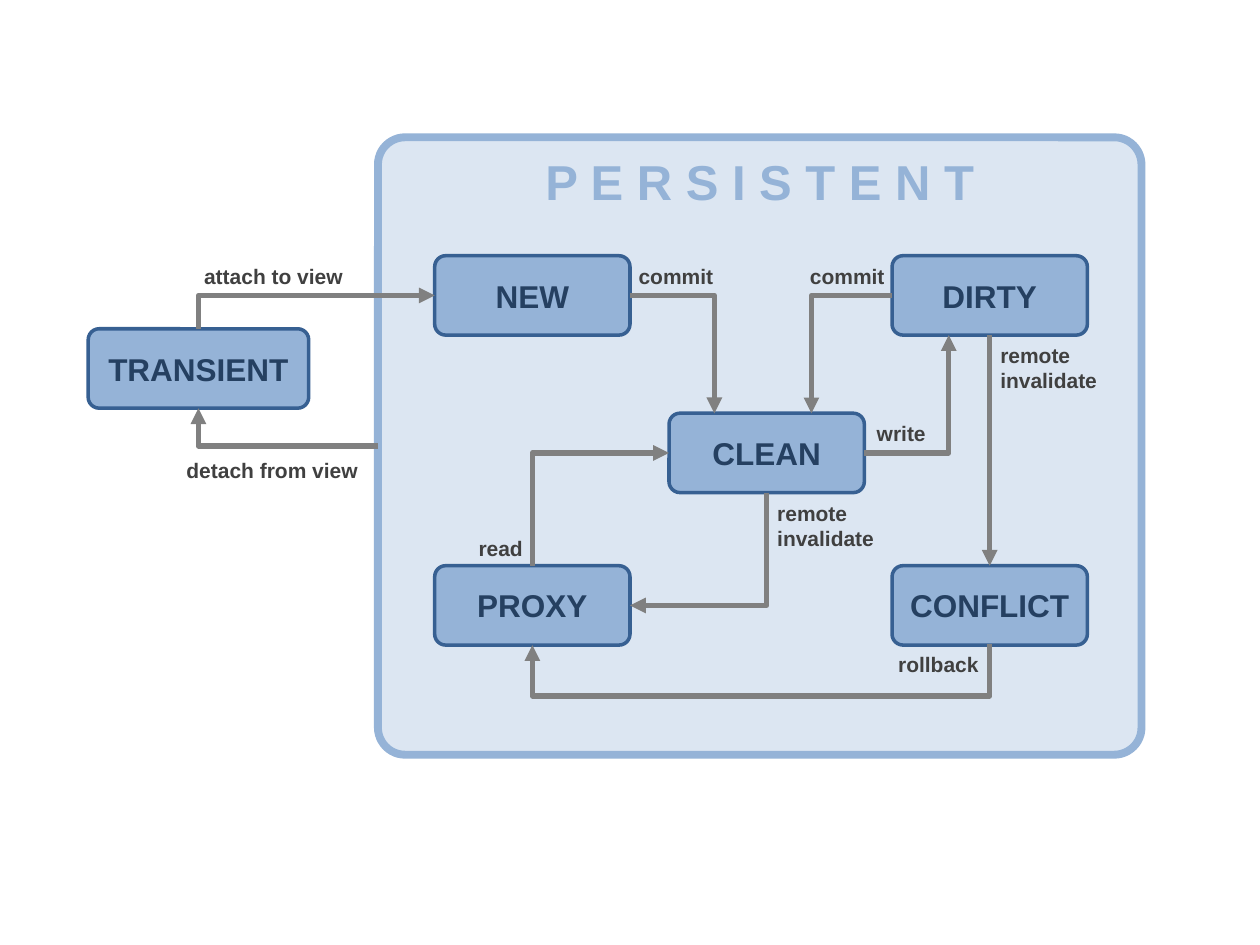
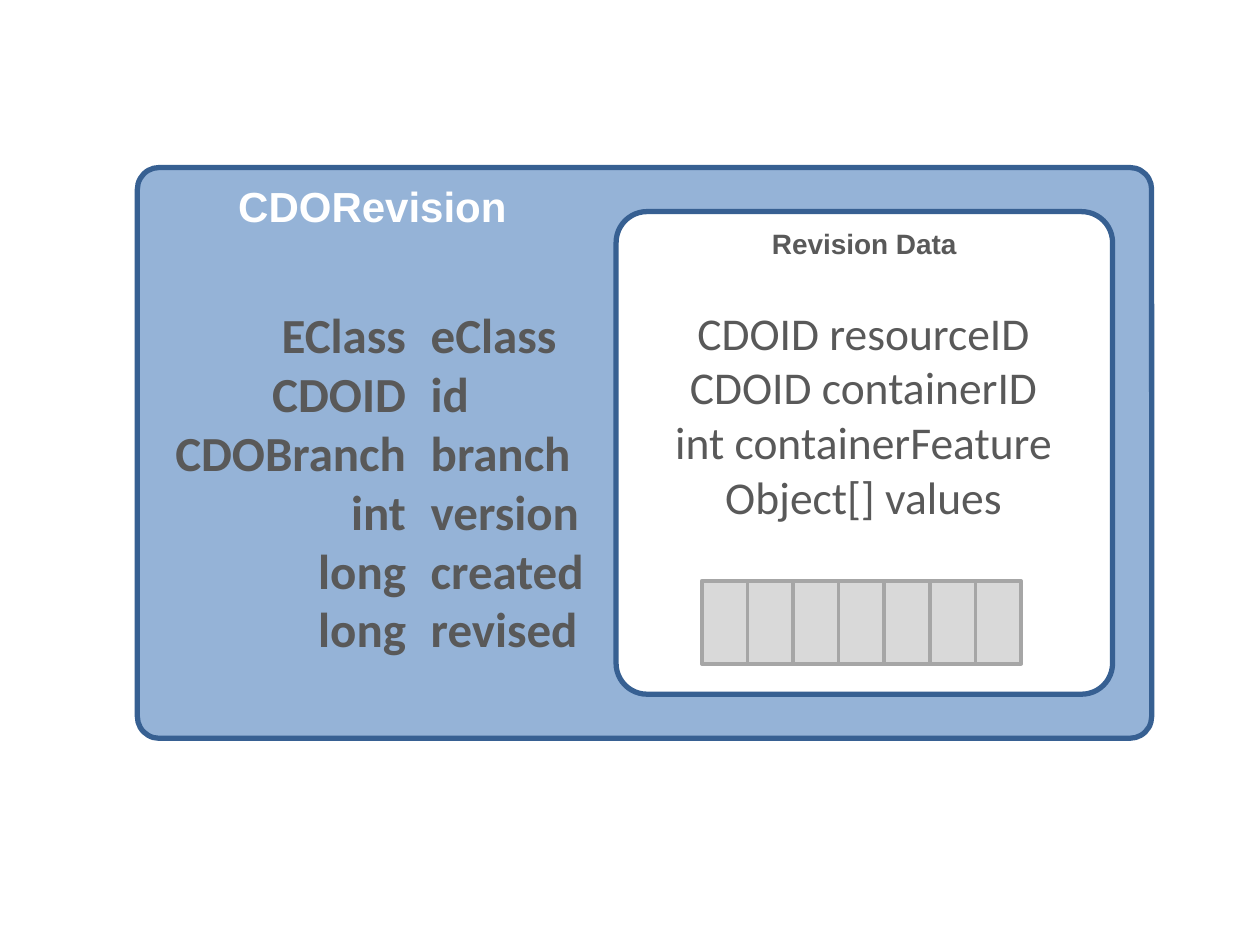
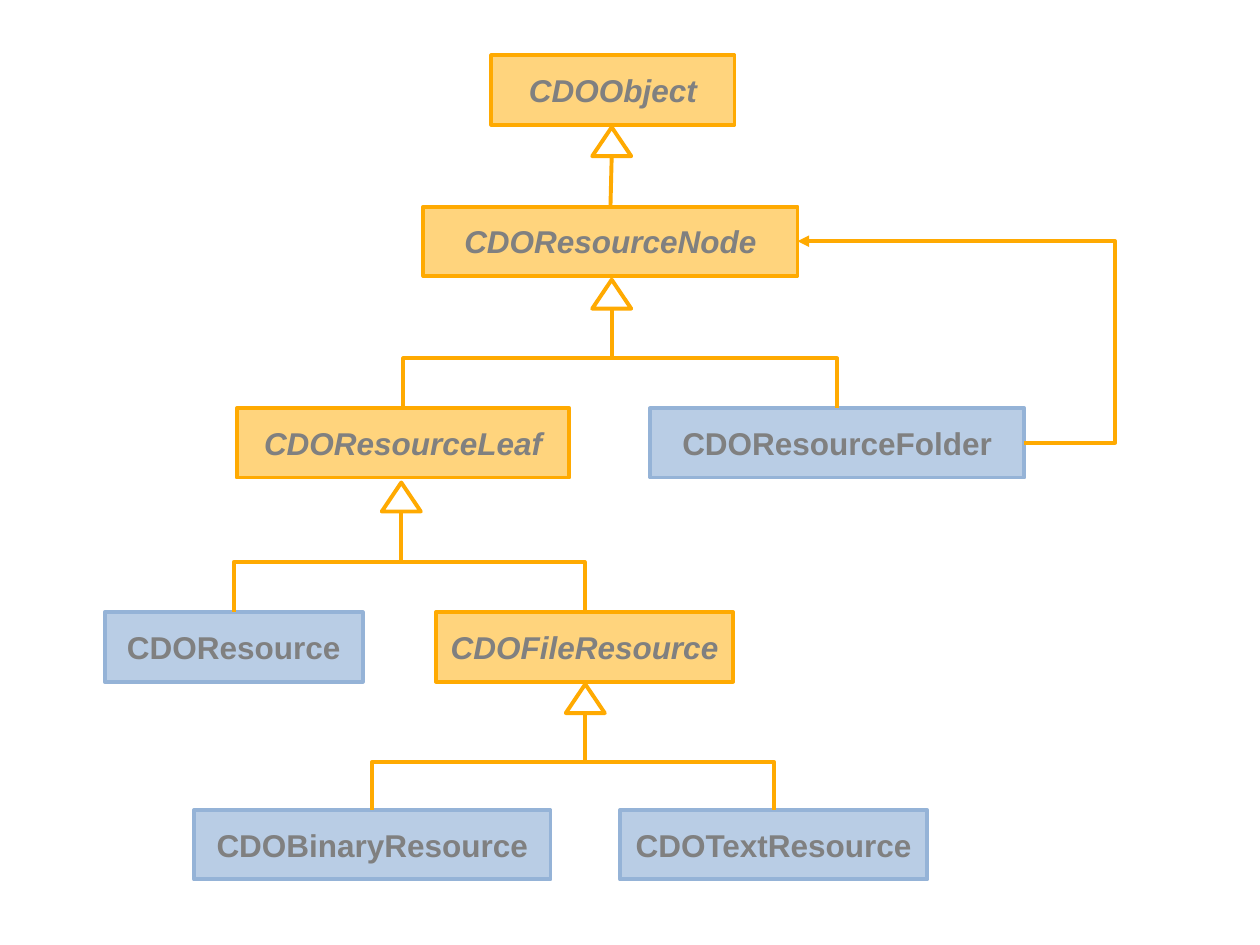
"""Builds three diagrams: object states, revision structure and resource classes."""
from dataclasses import dataclass

from lxml import etree
from pptx import Presentation
from pptx import util as u
from pptx.dml.color import RGBColor
from pptx.enum import shapes, text
from pptx.oxml.ns import qn


@dataclass(frozen=True)
class Theme:
    heading: str = "Arial"
    body: str = "Calibri"
    white: str = "FFFFFF"
    pale: str = "DCE6F2"
    light: str = "B9CDE5"
    blue: str = "95B3D7"
    edge: str = "376092"
    navy: str = "254061"
    gray: str = "808080"
    dark: str = "404040"
    slate: str = "595959"
    cell: str = "D9D9D9"
    cell_edge: str = "A6A6A6"
    amber: str = "FFD47D"
    orange: str = "FFAA01"
    label: int = 12
    subtitle: int = 16
    node: int = 18
    title: int = 24
    values: int = 26
    large: int = 28


THEME = Theme()
KIND = shapes.MSO_SHAPE
LEFT, CENTER, RIGHT = text.PP_ALIGN.LEFT, text.PP_ALIGN.CENTER, text.PP_ALIGN.RIGHT

PANEL = (3, 1.09, 6.06, 4.9)
STATE_WIDTH, STATE_HEIGHT = 1.55, 0.63
STATES = {
    "TRANSIENT": (0.7, 2.61, 1.75),
    "NEW": (3.45, 2.03, STATE_WIDTH),
    "DIRTY": (7.08, 2.03, STATE_WIDTH),
    "CLEAN": (5.31, 3.28, STATE_WIDTH),
    "PROXY": (3.45, 4.49, STATE_WIDTH),
    "CONFLICT": (7.08, 4.49, STATE_WIDTH),
}
TRANSITIONS = [
    (("PERSISTENT", "left"), ("TRANSIENT", "bottom"), None),
    (("TRANSIENT", "top"), ("NEW", "left"), None),
    (("NEW", "right"), (5.67, 3.28), None),
    (("DIRTY", "left"), (6.44, 3.28), None),
    (("CLEAN", "right"), (7.53, 2.66), None),
    (("DIRTY", "bottom"), ("CONFLICT", "top"), None),
    (("CLEAN", "bottom"), ("PROXY", "right"), None),
    (("PROXY", "top"), ("CLEAN", "left"), None),
    (("CONFLICT", "bottom"), ("PROXY", "bottom"), 5.53),
]
LABELS = [
    (["attach to view"], (1.5, 2.04, 1.32, 0.3), RIGHT),
    (["detach from view"], (1.36, 3.58, 1.58, 0.3), RIGHT),
    (["commit"], (4.97, 2.04, 0.8, 0.3), LEFT),
    (["commit"], (6.33, 2.04, 0.8, 0.3), LEFT),
    (["write"], (6.86, 3.29, 0.59, 0.3), LEFT),
    (["read"], (3.7, 4.2, 0.56, 0.3), LEFT),
    (["rollback"], (7.03, 5.12, 0.85, 0.3), LEFT),
    (["remote", "invalidate"], (7.84, 2.67, 0.98, 0.5), LEFT),
    (["remote", "invalidate"], (6.07, 3.92, 0.98, 0.5), LEFT),
]

FIELDS = [
    ("EClass", "eClass"),
    ("CDOID", "id"),
    ("CDOBranch", "branch"),
    ("int", "version"),
    ("long", "created"),
    ("long", "revised"),
]
REVISION_DATA = ["CDOID resourceID", "CDOID containerID", "int containerFeature", "Object[] values"]
CELL_COUNT, CELL_WIDTH = 7, 0.362

CLASS_HEIGHT = 0.55
CLASSES = {
    "CDOObject": (3.9, 0.44, 1.93, True),
    "CDOResourceNode": (3.36, 1.64, 2.97, True),
    "CDOResourceLeaf": (1.88, 3.24, 2.64, True),
    "CDOResourceFolder": (5.16, 3.24, 2.97, False),
    "CDOResource": (0.83, 4.86, 2.05, False),
    "CDOFileResource": (3.46, 4.86, 2.36, True),
    "CDOBinaryResource": (1.54, 6.43, 2.83, False),
    "CDOTextResource": (4.92, 6.43, 2.44, False),
}
INHERITANCE = [
    ((4.7, 1.01), ["CDOResourceNode"]),
    ((4.7, 2.22), ["CDOResourceLeaf", "CDOResourceFolder"]),
    ((3.03, 3.83), ["CDOResource", "CDOFileResource"]),
    ((4.49, 5.43), ["CDOBinaryResource", "CDOTextResource"]),
]


def color(code):
    return RGBColor.from_string(code)


def write(frame, lines, size, ink, font=THEME.heading, align=CENTER, bold=True, italic=False):
    for index, line in enumerate(lines):
        para = frame.paragraphs[0] if index == 0 else frame.add_paragraph()
        para.text = line
        para.alignment = align
        para.font.size = u.Pt(size)
        para.font.name = font
        para.font.bold = bold
        para.font.italic = italic
        para.font.color.rgb = color(ink)


def add_box(page, kind, place, fill, line, width, corner=None):
    box = page.shapes.add_shape(kind, *map(u.Inches, place))
    box.shadow.inherit = False
    if corner is not None:
        box.adjustments[0] = corner
    if fill:
        box.fill.solid()
        box.fill.fore_color.rgb = color(fill)
    else:
        box.fill.background()
    box.line.color.rgb = color(line)
    box.line.width = u.Pt(width)
    return box


def add_text(page, place, lines, size, ink, wrap=True, **style):
    box = page.shapes.add_textbox(*map(u.Inches, place))
    frame = box.text_frame
    frame.word_wrap = wrap
    frame.auto_size = text.MSO_AUTO_SIZE.SHAPE_TO_FIT_TEXT
    if not wrap:
        frame.vertical_anchor = text.MSO_ANCHOR.MIDDLE
    write(frame, lines, size, ink, **style)


def locate(boxes, end):
    """Returns the point, box, side and connection site of a connector's end."""
    if end[0] not in boxes:
        return tuple(map(u.Inches, end)), None, None, None
    box, side = boxes[end[0]], end[1]
    across, down = {"top": (0.5, 0), "left": (0, 0.5), "bottom": (0.5, 1), "right": (1, 0.5)}[side]
    point = int(box.left + across * box.width), int(box.top + down * box.height)
    site = ["top", "left", "bottom", "right"].index(side)
    if box.auto_shape_type == KIND.ISOSCELES_TRIANGLE and side == "bottom":
        site = 3
    return point, box, side, site


def connect(page, boxes, start, end, ink, width, bend=None, arrow=True):
    """Draws a straight or right-angled connector from one box to another."""
    (x1, y1), first, side, first_site = locate(boxes, start)
    (x2, y2), last, last_side, last_site = locate(boxes, end)
    vertical = side in ("top", "bottom")
    if vertical and bend is not None and y1 == y2:
        y1 -= u.Inches(0.01)
    dx, dy = x2 - x1, y2 - y1
    straight = vertical and abs(dx) < u.Inches(0.03)
    kind = shapes.MSO_CONNECTOR.STRAIGHT if straight else shapes.MSO_CONNECTOR.ELBOW
    line = page.shapes.add_connector(kind, x1, y1, x2, y2)
    line.line.color.rgb = color(ink)
    line.line.width = u.Pt(width)
    properties = line._element.spPr
    etree.SubElement(properties, qn("a:effectLst"))
    if arrow:
        etree.SubElement(line.line._get_or_add_ln(), qn("a:tailEnd"), type="triangle")
    if straight:
        return
    line.begin_connect(first, first_site)
    if last is not None:
        line.end_connect(last, last_site)

    three_part = last_side is not None and vertical == (last_side in ("top", "bottom"))
    if vertical:
        turn = 270 if dx > 0 and dy > 0 else 90
        flip_h = (dy < 0) == (turn == 90)
        flip_v = (dx > 0) == (turn == 90)
        length, breadth = abs(dy), abs(dx)
    else:
        turn = 180 if dx < 0 and not three_part else 0
        flip_h = dx < 0 and turn == 0
        flip_v = (dy < 0) == (turn == 0)
        length, breadth = abs(dx), abs(dy)
    line.left, line.top = (x1 + x2 - length) // 2, (y1 + y2 - breadth) // 2
    line.width, line.height = length, breadth
    frame = properties.find(qn("a:xfrm"))
    frame.set("rot", str(turn * 60000))
    frame.set("flipH", str(int(flip_h)))
    frame.set("flipV", str(int(flip_v)))
    geometry = properties.find(qn("a:prstGeom"))
    geometry.set("prst", "bentConnector3" if three_part else "bentConnector2")
    if three_part:
        origin, span = (y1, dy) if vertical else (x1, dx)
        share = 0.5 if bend is None else (u.Inches(bend) - origin) / span
        guides = geometry.find(qn("a:avLst"))
        etree.SubElement(guides, qn("a:gd"), name="adj1", fmla=f"val {round(share * 100000)}")


def build_states(page):
    panel = add_box(page, KIND.ROUNDED_RECTANGLE, PANEL, THEME.pale, THEME.blue, 4.5, 0.044)
    panel.text_frame.vertical_anchor = text.MSO_ANCHOR.TOP
    write(panel.text_frame, ["P E R S I S T E N T"], THEME.large, THEME.blue)
    boxes = {"PERSISTENT": panel}
    for name, (left, top, width) in STATES.items():
        place = (left, top, width, STATE_HEIGHT)
        box = add_box(page, KIND.ROUNDED_RECTANGLE, place, THEME.blue, THEME.edge, 2, 0.138)
        box.text_frame.word_wrap = False
        write(box.text_frame, [name], THEME.node, THEME.navy)
        boxes[name] = box
    for start, end, bend in TRANSITIONS:
        connect(page, boxes, start, end, THEME.gray, 3, bend)
    for lines, place, align in LABELS:
        add_text(page, place, lines, THEME.label, THEME.dark, wrap=False, align=align)


def build_revision(page):
    cards = [
        ("CDORevision", (1.09, 1.33, 8.05, 4.53), 0.038, THEME.blue, THEME.title, THEME.white, LEFT, 0.75),
        ("Revision Data", (4.89, 1.68, 3.94, 3.83), 0.064, THEME.white, THEME.subtitle, THEME.slate, CENTER, 0.1),
    ]
    for name, place, corner, fill, size, ink, align, margin in cards:
        card = add_box(page, KIND.ROUNDED_RECTANGLE, place, fill, THEME.edge, 3, corner)
        card.text_frame.vertical_anchor = text.MSO_ANCHOR.TOP
        card.text_frame.margin_left = u.Inches(margin)
        write(card.text_frame, [name], size, ink, align=align)
    for left, lines, align in zip((0.94, 3.32), zip(*FIELDS), (RIGHT, LEFT)):
        add_text(page, (left, 2.37, 2.38, 2.93), lines, THEME.large, THEME.slate,
                 font=THEME.body, align=align)
    add_text(page, (5.19, 2.37, 3.33, 1.85), REVISION_DATA, THEME.values, THEME.slate,
             font=THEME.body, bold=False)
    for index in range(CELL_COUNT):
        place = (5.57 + index * CELL_WIDTH, 4.61, CELL_WIDTH, 0.66)
        add_box(page, KIND.RECTANGLE, place, THEME.cell, THEME.cell_edge, 2)


def build_classes(page):
    boxes = {}
    for name, (left, top, width, abstract) in CLASSES.items():
        fill, line = (THEME.amber, THEME.orange) if abstract else (THEME.light, THEME.blue)
        box = add_box(page, KIND.RECTANGLE, (left, top, width, CLASS_HEIGHT), fill, line, 2.25)
        box.text_frame.word_wrap = False
        write(box.text_frame, [name], THEME.node, THEME.gray, italic=abstract)
        boxes[name] = box
    for corner, children in INHERITANCE:
        boxes["triangle"] = add_box(page, KIND.ISOSCELES_TRIANGLE, (*corner, 0.31, 0.23),
                                    None, THEME.orange, 2.25)
        for child in children:
            connect(page, boxes, ("triangle", "bottom"), (child, "top"), THEME.orange, 2.25, arrow=False)
    connect(page, boxes, ("CDOResourceFolder", "right"), ("CDOResourceNode", "right"),
            THEME.orange, 2.25, bend=8.85)


def main():
    deck = Presentation()
    deck.slide_width, deck.slide_height = u.Inches(10), u.Inches(7.5)
    for build in (build_states, build_revision, build_classes):
        build(deck.slides.add_slide(deck.slide_layouts[6]))
    deck.save("out.pptx")


if __name__ == "__main__":
    main()
